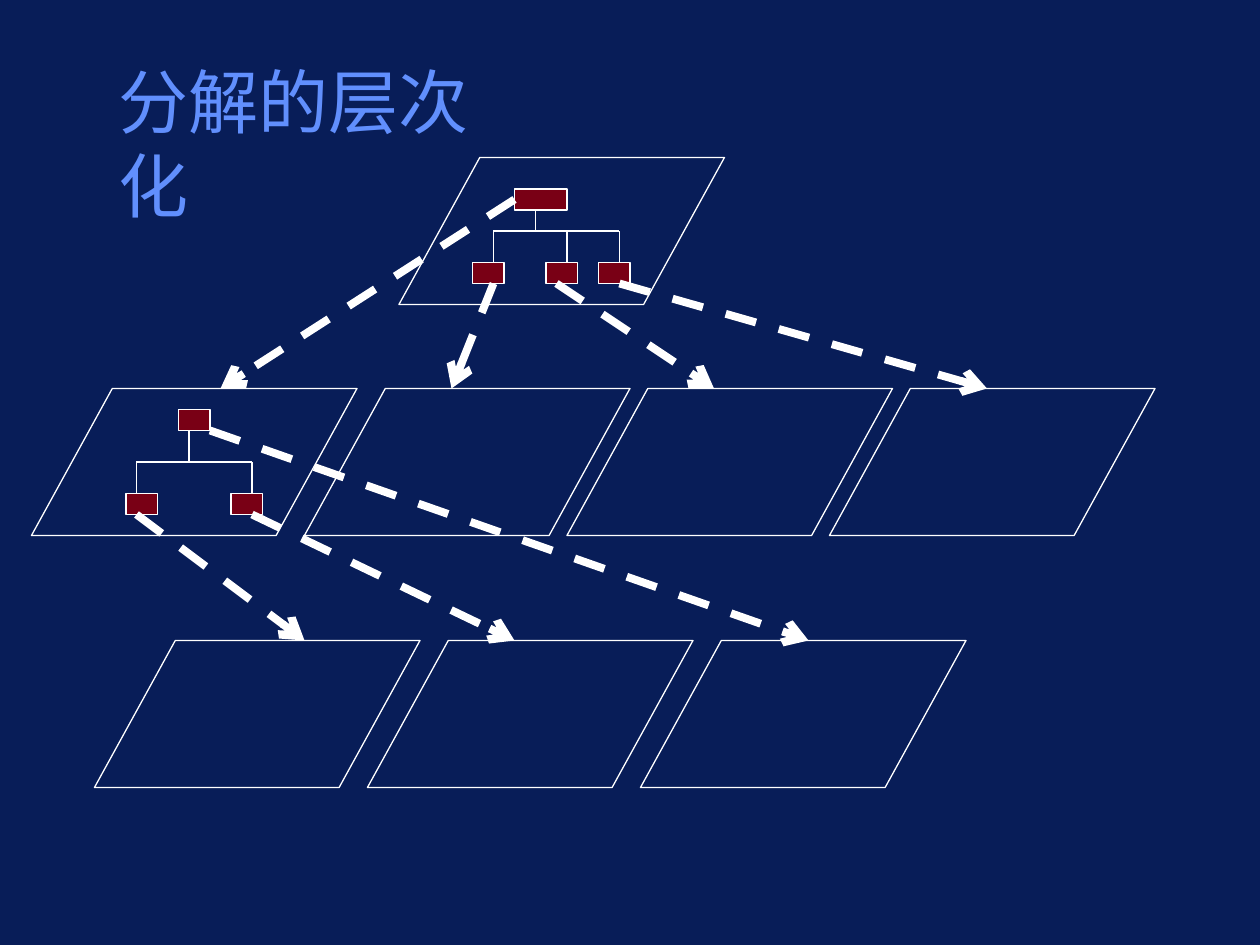
from lxml import etree
from pptx import Presentation
from pptx.dml.color import RGBColor
from pptx.enum.dml import MSO_LINE
from pptx.enum.shapes import MSO_CONNECTOR, MSO_SHAPE
from pptx.enum.text import MSO_ANCHOR, MSO_AUTO_SIZE, PP_ALIGN
from pptx.oxml.ns import qn
from pptx.util import Pt

RECTANGLE = MSO_SHAPE.RECTANGLE
PARALLELOGRAM = MSO_SHAPE.PARALLELOGRAM
STRAIGHT = MSO_CONNECTOR.STRAIGHT
DASH = MSO_LINE.DASH
TOP = MSO_ANCHOR.TOP
LEFT = PP_ALIGN.LEFT
GROW = MSO_AUTO_SIZE.SHAPE_TO_FIT_TEXT
LEFT_SIDE = 1

COLORS = {"background": "081D58", "node": "790015", "line": "FFFFFF", "title": "618FFD"}
FONT = "Lato"
PANEL_SIZE = (186, 84)
NODE_WIDTH, NODE_HEIGHT = 18, 12


def color(name):
    return RGBColor.from_string(COLORS[name])


def write_text(frame, text, size, fill, font=FONT, align=LEFT):
    paragraph = frame.paragraphs[0]
    paragraph.alignment = align
    run = paragraph.add_run()
    run.text = text
    run.font.name = font
    run.font.size = Pt(size)
    run.font.color.rgb = color(fill)


class Diagram:
    """Holds the line style and the slide being drawn."""

    thin, thick = 0.75, 4.5

    def __init__(self, slide):
        self.slide = slide
        slide.background.fill.solid()
        slide.background.fill.fore_color.rgb = color("background")

    def title(self, text, left, top, width, height):
        title = self.slide.shapes.title
        title.left, title.top, title.width, title.height = map(Pt, (left, top, width, height))
        frame = title.text_frame
        frame.word_wrap = False
        frame.auto_size = GROW
        frame.vertical_anchor = TOP
        write_text(frame, text, size=40, fill="title")

    def shape(self, kind, left, top, width, height, fill):
        shape = self.slide.shapes.add_shape(kind, Pt(left), Pt(top), Pt(width), Pt(height))
        shape.shadow.inherit = False
        shape.fill.solid()
        shape.fill.fore_color.rgb = color(fill)
        shape.line.color.rgb = color("line")
        shape.line.width = Pt(self.thin)
        return shape

    def panel(self, left, top):
        panel = self.shape(PARALLELOGRAM, left, top, *PANEL_SIZE, "background")
        panel.adjustments[0] = 0.55

    def node(self, left, top, width=NODE_WIDTH):
        return self.shape(RECTANGLE, left, top, width, NODE_HEIGHT, "node")

    def line(self, x1, y1, x2, y2, width=thin):
        line = self.slide.shapes.add_connector(STRAIGHT, Pt(x1), Pt(y1), Pt(x2), Pt(y2))
        line.line.color.rgb = color("line")
        line.line.width = Pt(width)
        etree.SubElement(line._element.spPr, qn("a:effectLst"))
        return line

    def arrow(self, x1, y1, x2, y2):
        arrow = self.line(x1, y1, x2, y2, self.thick)
        arrow.line.dash_style = DASH
        etree.SubElement(arrow.line._get_or_add_ln(), qn("a:tailEnd"), type="arrow")
        return arrow

    def tree(self, root, stem_x, bar_y, drops, children, child_y):
        """Draws a root node, its branching lines and its child nodes."""
        root_node = self.node(*root)
        self.line(stem_x, root[1] + NODE_HEIGHT, stem_x, bar_y)
        self.line(drops[0], bar_y, drops[-1], bar_y)
        drop_end = bar_y + 24 if len(drops) == 3 else child_y
        for x in drops:
            self.line(x, bar_y, x, drop_end)
        for left in children:
            self.node(left, child_y)
        return root_node


def main():
    deck = Presentation()
    deck.slide_width, deck.slide_height = Pt(720), Pt(540)
    diagram = Diagram(deck.slides.add_slide(deck.slide_layouts[5]))
    diagram.title("分解的层次化", 60.5, 30, 254, 55.5)

    # Top level
    diagram.panel(228, 90)
    top_root = diagram.tree((294, 108, 30), stem_x=306, bar_y=132, drops=(282, 324, 354),
                            children=(270, 312, 342), child_y=150)

    # Middle level
    middle_y = 222
    for left in (18, 174, 324, 474):
        diagram.panel(left, middle_y)
    diagram.tree((102, 234), stem_x=108, bar_y=264, drops=(78, 144),
                 children=(72, 132), child_y=282)

    # Arrows from the top level to the middle level
    diagram.arrow(294, 114, 126, middle_y).begin_connect(top_root, LEFT_SIDE)
    for start_x, end_x in ((282, 258), (318, 408), (354, 564)):
        diagram.arrow(start_x, 162, end_x, middle_y)

    # Bottom level
    bottom_y = 366
    for column in range(3):
        diagram.panel(54 + 156 * column, bottom_y)

    # Arrows from the middle level to the bottom level
    for start_x, start_y, end_x in ((78, 294, 174), (144, 294, 294), (120, 246, 462)):
        diagram.arrow(start_x, start_y, end_x, bottom_y)

    deck.save("out.pptx")


if __name__ == "__main__":
    main()
